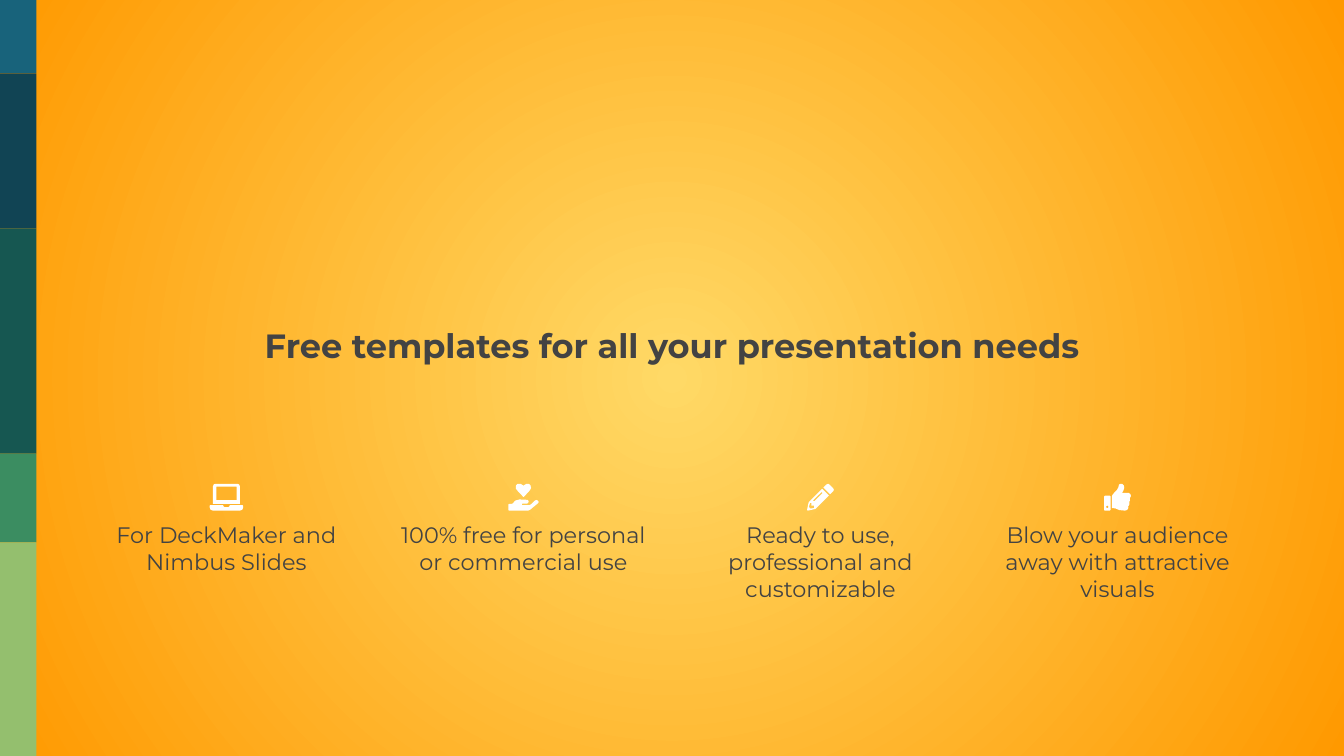
from itertools import pairwise

from lxml import etree
from pptx import Presentation
from pptx.dml.color import RGBColor
from pptx.enum import shapes, text
from pptx.oxml.ns import qn
from pptx.util import Pt

FONT = "Montserrat"
INK = "434343"
ICON_UNIT = 0.1
STRIP_EDGES = [0, 39.3, 122.4, 243, 290.6, 405]
STRIP_COLORS = ["18637B", "114454", "165751", "3B8D61", "94BF6E"]

LAPTOP = [
    [(36, 16), (144, 16), (144, 88), (36, 88)],
    [(30, 0), (22, 4), (18, 13), (18, 108), (162, 108), (162, 13), (158, 4), (150, 0)],
    [(3, 115), (0, 118), (0, 126), (5, 139), (18, 144), (162, 144), (175, 139),
     (180, 126), (180, 118), (177, 115), (108, 115), (105, 122), (100, 125),
     (80, 125), (75, 122), (72, 115)],
]
HAND_WITH_HEART = [
    [(50, 0), (41, 10), (40, 24), (46, 34), (80, 70), (84, 70), (117, 34),
     (122, 22), (119, 8), (110, 0), (98, 0), (81, 10), (66, 0)],
    [(60, 84), (38, 90), (22, 107), (4, 108), (0, 112), (0, 140), (4, 144),
     (106, 144), (116, 140), (160, 104), (163, 97), (158, 90), (150, 87),
     (143, 90), (122, 110), (114, 114), (75, 114), (72, 111), (75, 107),
     (100, 107), (108, 101), (109, 94), (106, 88), (100, 86)],
]
PENCIL = [
    [(113, 0), (104, 4), (88, 20), (124, 56), (140, 40), (144, 33), (140, 24),
     (120, 4)],
    [(81, 27), (9, 99), (0, 140), (4, 144), (45, 135), (117, 63)],
    [(80, 45), (83, 50), (40, 93), (34, 94), (33, 88), (76, 46)],
    [(24, 102), (24, 117), (38, 117), (38, 130), (18, 133), (10, 125), (16, 103)],
]
THUMB_UP = [
    [(4, 64), (0, 68), (0, 140), (4, 144), (31, 144), (35, 140), (35, 68), (31, 64)],
    [(17, 116), (23, 122), (23, 126), (17, 132), (11, 126), (11, 122)],
    [(88, 0), (80, 4), (76, 20), (70, 32), (56, 46), (45, 60), (42, 66),
     (42, 130), (60, 132), (82, 141), (112, 144), (124, 140), (130, 130),
     (129, 122), (136, 110), (135, 98), (139, 88), (138, 78), (144, 66),
     (141, 55), (132, 49), (96, 49), (103, 38), (108, 22), (106, 9), (98, 1)],
]
FEATURES = [
    (LAPTOP, "For DeckMaker and Nimbus Slides"),
    (HAND_WITH_HEART, "100% free for personal or commercial use"),
    (PENCIL, "Ready to use, professional and customizable"),
    (THUMB_UP, "Blow your audience away with attractive visuals"),
]


def rgb(value):
    """Return the colour for a hex string."""
    return RGBColor.from_string(value)


def paint(sp, color):
    """Give a shape a plain fill without line or shadow."""
    sp.shadow.inherit = False
    sp.fill.solid()
    sp.fill.fore_color.rgb = rgb(color)
    sp.line.fill.background()


def write(sp, content, size, bold=False):
    """Write one centred paragraph from the top edge of a shape."""
    tf = sp.text_frame
    tf.word_wrap = True
    tf.auto_size = text.MSO_AUTO_SIZE.NONE
    tf.vertical_anchor = text.MSO_ANCHOR.TOP
    tf.margin_left = tf.margin_right = tf.margin_top = tf.margin_bottom = 0
    p = tf.paragraphs[0]
    p.text = content
    p.alignment = text.PP_ALIGN.CENTER
    p.font.name, p.font.size, p.font.bold = FONT, Pt(size), bold
    p.font.color.rgb = rgb(INK)


def set_background(s, center, edge):
    """Fill the slide with a circular gradient around its centre."""
    fill = s.background.fill
    fill.gradient()
    for stop, color in zip(fill.gradient_stops, (center, edge)):
        stop.color.rgb = rgb(color)
    grad = s.element.find(".//" + qn("a:gradFill"))
    grad.remove(grad.find(qn("a:lin")))
    circle = etree.SubElement(grad, qn("a:path"), path="circle")
    etree.SubElement(circle, qn("a:fillToRect"), l="50000", t="50000", r="50000", b="50000")


def add_strip(s, x, y, w):
    """Stack the coloured blocks along the slide edge."""
    for (top, bottom), color in zip(pairwise(STRIP_EDGES), STRIP_COLORS):
        sp = s.shapes.add_shape(shapes.MSO_SHAPE.RECTANGLE,
                                Pt(x), Pt(y + top), Pt(w), Pt(bottom - top))
        paint(sp, color)


def add_title(s, x, y, w, h, content):
    """Place and format the title."""
    sp = s.shapes.title
    sp.left, sp.top, sp.width, sp.height = Pt(x), Pt(y), Pt(w), Pt(h)
    write(sp, content, 18, bold=True)


def add_icon(s, center, y, outlines):
    """Draw a white icon centred on a vertical axis."""
    width = max(px for outline in outlines for px, _ in outline) * ICON_UNIT
    first, *rest = outlines
    builder = s.shapes.build_freeform(*first[0], scale=Pt(ICON_UNIT))
    builder.add_line_segments(first[1:], close=True)
    for outline in rest:
        builder.move_to(*outline[0])
        builder.add_line_segments(outline[1:], close=True)
    paint(builder.convert_to_shape(Pt(center - width / 2), Pt(y)), "FFFFFF")


def add_feature(s, x, y, w, h, outlines, label):
    """Place an icon above its label."""
    label_offset = 20.2
    add_icon(s, x + w / 2, y, outlines)
    sp = s.shapes.add_textbox(Pt(x), Pt(y + label_offset), Pt(w), Pt(h - label_offset))
    write(sp, label, 12)


def add_features(s, x, y, w, h):
    """Spread the features evenly across a box."""
    column = 133.2
    step = (w - column) / (len(FEATURES) - 1)
    for i, (outlines, label) in enumerate(FEATURES):
        add_feature(s, x + i * step, y, column, h, outlines, label)


def main():
    """Build the slide and save it."""
    prs = Presentation()
    prs.slide_width, prs.slide_height = Pt(720), Pt(405)
    s = prs.slides.add_slide(prs.slide_layouts[5])
    set_background(s, "FFD966", "FF9900")
    add_strip(s, 0, 0, 19.5)
    add_title(s, 87.1, 174.2, 545.8, 21, "Free templates for all your presentation needs")
    add_features(s, 54.7, 259.2, 610.6, 70.6)
    prs.save("out.pptx")


if __name__ == "__main__":
    main()
